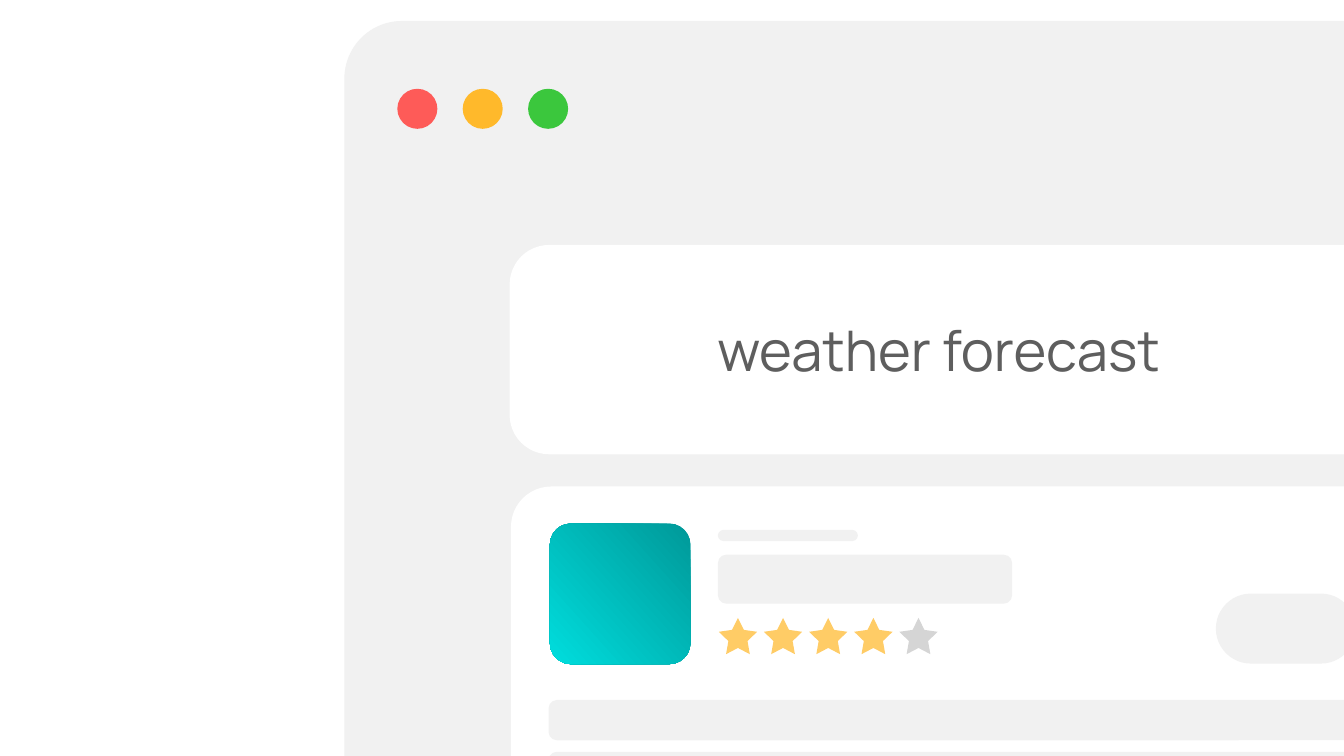
"""Build a slide showing a browser window with a search result."""
from pptx import Presentation
from pptx.dml import color
from pptx.enum import shapes, text
from pptx.util import Pt

ROUNDED = shapes.MSO_SHAPE.ROUNDED_RECTANGLE
WHITE = "FFFFFF"
PALE = "F1F1F1"
GOLD = "FFCC66"
GREY = "D5D5D5"


def rgb(value):
    """Return the colour for a hex string."""
    return color.RGBColor.from_string(value)


def add_plain_shape(container, kind, box, fill, corner=None):
    """Add a shape without outline in one flat colour."""
    shape = container.add_shape(kind, *map(Pt, box))
    shape.shadow.inherit = False
    shape.line.fill.background()
    shape.fill.solid()
    shape.fill.fore_color.rgb = rgb(fill)
    if corner is not None:
        shape.adjustments[0] = corner
    return shape


def add_window(container):
    """Add the browser window with its three round buttons."""
    add_plain_shape(container, ROUNDED, (246, 15, 1509, 1055.5), PALE, 0.039)
    for index, fill in enumerate(("FE5B58", "FFB92B", "3BC73D")):
        box = (283.8 + 46.7 * index, 63.4, 28.6, 28.6)
        add_plain_shape(container, shapes.MSO_SHAPE.OVAL, box, fill)


def add_app_icon(container, box):
    """Add the rounded icon with a diagonal gradient."""
    icon = add_plain_shape(container, ROUNDED, box, "009999", 0.15)
    icon.fill.gradient()
    icon.fill.gradient_angle = 222
    for stop, fill in zip(icon.fill.gradient_stops, ("009999", "00DDDD")):
        stop.color.rgb = rgb(fill)


def add_rating(container, left, top, score, total=5):
    """Add a row of stars, gold up to the score."""
    for index in range(total):
        fill = GOLD if index < score else GREY
        box = (left + 32.25 * index, top, 27.4, 25.9)
        add_plain_shape(container, shapes.MSO_SHAPE.STAR_5_POINT, box, fill, 0.249)


def add_result(container):
    """Add the search result with its icon, rating and grey bars."""
    add_app_icon(container, (392.8, 374, 100.4, 100.4))
    add_rating(container, 513.4, 441.4, 4)
    bars = (
        ((512.8, 396.2, 210.2, 35), 0.173),
        ((512.8, 378.5, 100, 8), 0.5),
        ((391.8, 500, 576.7, 28.8), 0.212),
        ((391.8, 537, 576.7, 28.8), 0.212),
        ((868.5, 424, 100, 50), 0.5),
    )
    for box, corner in bars:
        add_plain_shape(container, ROUNDED, box, PALE, corner)


def add_query(container, words, box):
    """Add the search words as a text box."""
    frame = container.add_textbox(*map(Pt, box)).text_frame
    layout = {
        "word_wrap": True,
        "auto_size": text.MSO_AUTO_SIZE.SHAPE_TO_FIT_TEXT,
        "vertical_anchor": text.MSO_ANCHOR.MIDDLE,
        **{f"margin_{side}": Pt(4) for side in ("left", "top", "right", "bottom")},
    }
    for name, value in layout.items():
        setattr(frame, name, value)
    paragraph = frame.paragraphs[0]
    run = paragraph.add_run()
    run.text = words
    for name, value in {"name": "Manrope", "size": Pt(40)}.items():
        setattr(run.font, name, value)
    run.font.color.rgb = rgb("5E5E5E")


def main():
    """Build and save the presentation."""
    presentation = Presentation()
    presentation.slide_width = Pt(960)
    presentation.slide_height = Pt(540)
    slide = presentation.slides.add_slide(presentation.slide_layouts[6])
    add_window(slide.shapes.add_group_shape().shapes)
    add_plain_shape(slide.shapes, ROUNDED, (364, 175, 1294, 149.5), WHITE, 0.189)
    add_plain_shape(slide.shapes, ROUNDED, (365, 347.5, 630, 360), WHITE, 0.08)
    add_result(slide.shapes.add_group_shape().shapes)
    add_query(slide.shapes, "weather forecast", (508.5, 221, 360, 57))
    presentation.save("out.pptx")


if __name__ == "__main__":
    main()
